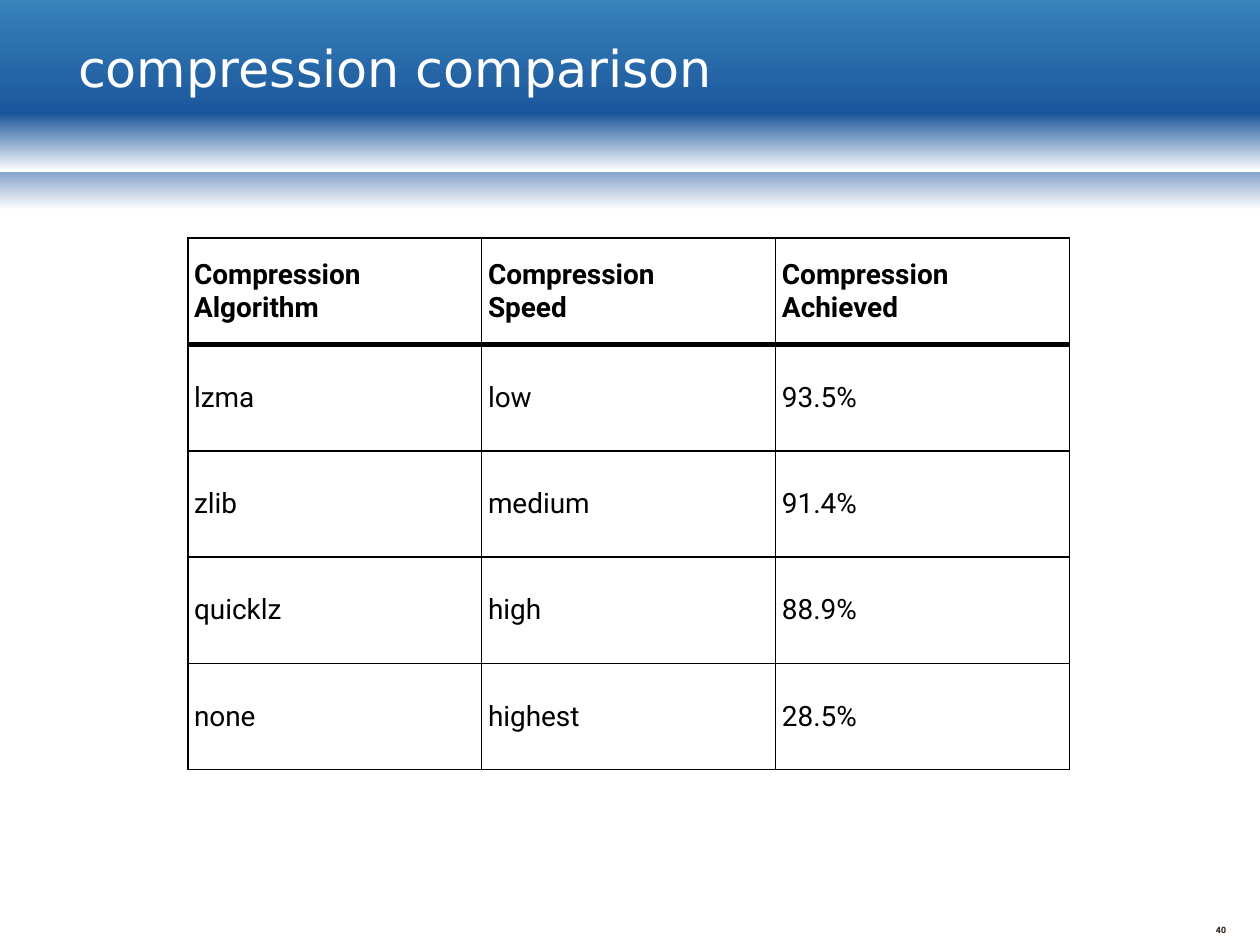
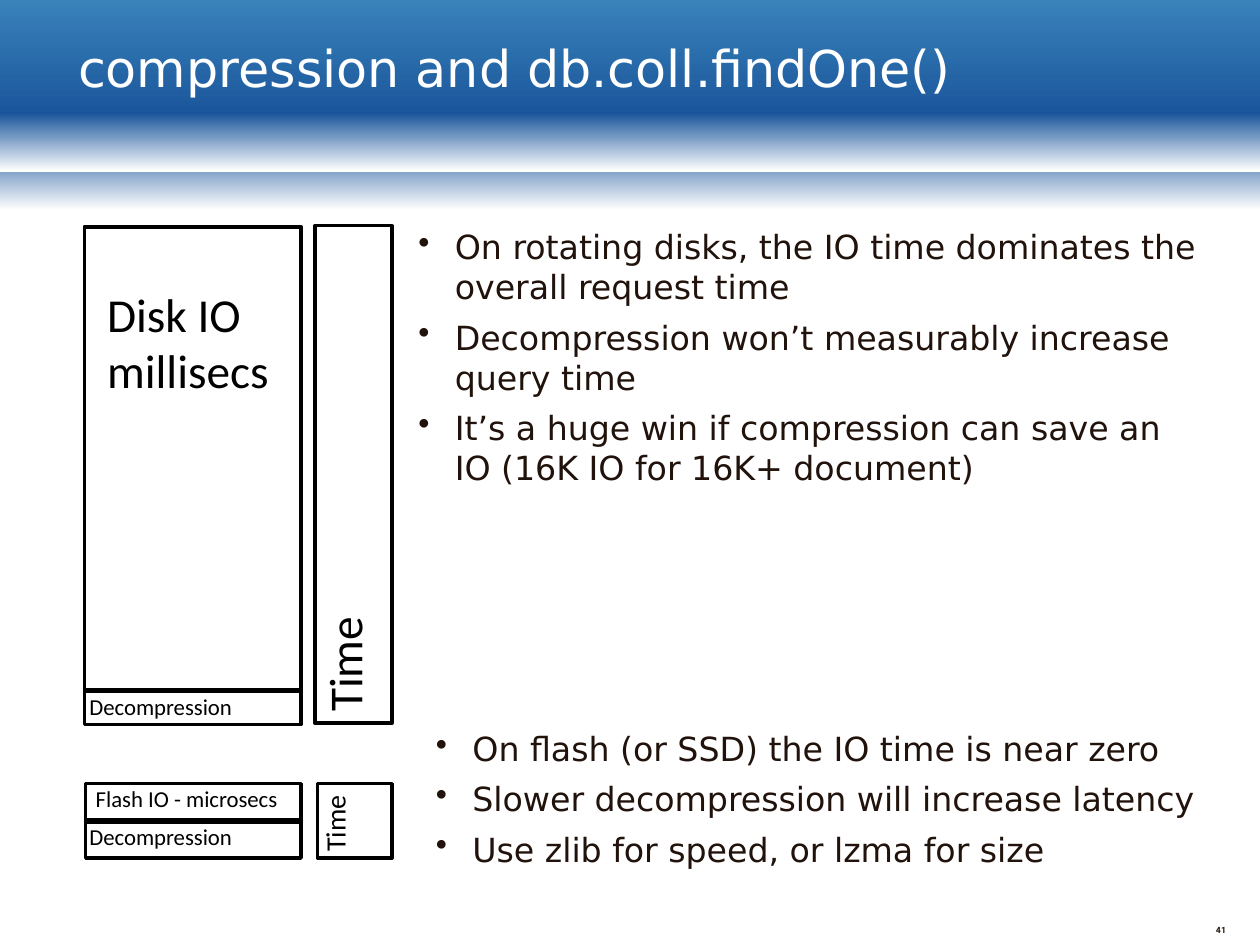
from dataclasses import dataclass

from lxml import etree
from pptx import Presentation
from pptx.dml.color import RGBColor
from pptx.enum.shapes import MSO_CONNECTOR as Connector, MSO_SHAPE as Preset
from pptx.enum.text import MSO_ANCHOR as Anchor, MSO_AUTO_SIZE as AutoSize, PP_ALIGN as Align
from pptx.oxml import parse_xml
from pptx.oxml.ns import nsdecls, qn
from pptx.util import Inches, Pt


@dataclass(frozen=True)
class Theme:
    sky: str = "3982BA"
    navy: str = "1A559B"
    white: str = "FFFFFF"
    black: str = "000000"
    ink: str = "21130C"
    heading_font: str = "DejaVu Sans"
    table_font: str = "Roboto"
    diagram_font: str = "Calibri"
    title_size: float = 29
    bullet_size: float = 19
    table_size: float = 16
    number_size: float = 5
    large_label: float = 27
    medium_label: float = 16
    small_label: float = 13
    outline: float = 2
    divider: float = 3
    inset: float = 0.05


THEME = Theme()


def color(code):
    return RGBColor.from_string(code)


def write(para, text, *, font, size, ink=THEME.black, bold=False, align=None):
    """Fill a paragraph; a newline in the text becomes a line break."""
    if align is not None:
        para.alignment = align
    for index, line in enumerate(text.split("\n")):
        if index:
            para.add_line_break()
        span = para.add_run()
        span.text = line
        span.font.name = font
        span.font.size = Pt(size)
        span.font.bold = bold
        span.font.color.rgb = color(ink)


def set_margins(target, left, top, right, bottom):
    target.margin_left, target.margin_top = Inches(left), Inches(top)
    target.margin_right, target.margin_bottom = Inches(right), Inches(bottom)


def add_bullet(para, indent=0.29):
    properties = para._p.get_or_add_pPr()
    properties.set("marL", str(Inches(indent)))
    properties.set("indent", str(-Inches(indent)))
    etree.SubElement(properties, qn("a:buChar"), char="•")


def set_borders(cell, top, bottom):
    """Rule the sides at 1 pt, and the top and bottom at the given widths."""
    widths = {"lnL": 1, "lnR": 1, "lnT": top, "lnB": bottom}
    for index, (side, width) in enumerate(widths.items()):
        border = parse_xml(
            f'<a:{side} {nsdecls("a")} w="{Pt(width)}"><a:solidFill>'
            f'<a:srgbClr val="{THEME.black}"/></a:solidFill></a:{side}>')
        cell._tc.get_or_add_tcPr().insert(index, border)


class SlideBuilder:
    def __init__(self, deck, theme):
        self.deck = deck
        self.theme = theme
        self.page = None

    def start(self, title, number):
        """Add a page with the shared bands, title and page number."""
        theme = self.theme
        self.page = self.deck.slides.add_slide(self.deck.slide_layouts[6])
        # Long bands lie below, shorter ones on top
        for solid_height, fade_top, fade_height in ((1.13, 1.1, 0.57), (0.93, 0.9, 0.46)):
            self.band(0, solid_height, theme.sky, theme.navy)
            self.band(fade_top, fade_height, theme.navy, theme.white)
        self.text(str(number), 7.5, 7.18, 2.33, 0.4, anchor=Anchor.MIDDLE,
                  inset=0.1, font=theme.table_font, size=theme.number_size,
                  ink=theme.ink, bold=True, align=Align.RIGHT)
        self.text(title, 0.57, 0, 9.06, 1.06, anchor=Anchor.MIDDLE,
                  inset=theme.inset, font=theme.heading_font,
                  size=theme.title_size, ink=theme.white)

    def band(self, top, height, upper, lower):
        band = self.page.shapes.add_shape(
            Preset.RECTANGLE, 0, Inches(top), self.deck.slide_width, Inches(height))
        band.shadow.inherit = False
        band.line.fill.background()
        band.fill.gradient()
        band.fill.gradient_angle = 270
        for stop, code in zip(band.fill.gradient_stops, (upper, lower)):
            stop.color.rgb = color(code)

    def text(self, text, left, top, width, height, *, anchor=Anchor.TOP,
             inset=0, wrap=True, **style):
        box = self.page.shapes.add_textbox(
            Inches(left), Inches(top), Inches(width), Inches(height))
        frame = box.text_frame
        frame.word_wrap = wrap
        frame.auto_size = AutoSize.NONE if wrap else AutoSize.SHAPE_TO_FIT_TEXT
        frame.vertical_anchor = anchor
        set_margins(frame, inset, inset, inset, inset)
        write(frame.paragraphs[0], text, **style)

    def label(self, text, left, top, width, height, size, wrap=True):
        self.text(text, left, top, width, height, wrap=wrap,
                  font=self.theme.diagram_font, size=size)

    def bullets(self, items, left, top, width, height):
        theme = self.theme
        box = self.page.shapes.add_textbox(
            Inches(left), Inches(top), Inches(width), Inches(height))
        frame = box.text_frame
        frame.word_wrap = True
        set_margins(frame, *[theme.inset] * 4)
        for index, item in enumerate(items):
            para = frame.add_paragraph() if index else frame.paragraphs[0]
            para.space_before = Pt(6)
            add_bullet(para)
            write(para, item, font=theme.heading_font,
                  size=theme.bullet_size, ink=theme.ink)

    def frame(self, left, top, width, height):
        box = self.page.shapes.add_shape(
            Preset.RECTANGLE, Inches(left), Inches(top), Inches(width), Inches(height))
        box.shadow.inherit = False
        box.fill.background()
        box.line.color.rgb = color(self.theme.black)
        box.line.width = Pt(self.theme.outline)
        return box

    def time_bar(self, left, top, width, height, size, gap):
        """Draw an upright bar whose label reads upwards from its foot."""
        shift = (width - height) / 2
        bar = self.frame(left + shift, top - shift, height, width)
        bar.rotation = 270
        frame = bar.text_frame
        frame.word_wrap = True
        frame.vertical_anchor = Anchor.TOP
        set_margins(frame, gap, 0, 0, 0)
        write(frame.paragraphs[0], "Time", font=self.theme.diagram_font,
              size=size, align=Align.LEFT)

    def divider(self, left, right, y):
        line = self.page.shapes.add_connector(
            Connector.STRAIGHT, Inches(left), Inches(y), Inches(right), Inches(y))
        line.line.color.rgb = color(self.theme.black)
        line.line.width = Pt(self.theme.divider)
        etree.SubElement(line._element.spPr, qn("a:effectLst"))
        return line

    def table(self, rows, left, top, width, height):
        theme = self.theme
        table = self.page.shapes.add_table(
            len(rows), len(rows[0]), Inches(left), Inches(top),
            Inches(width), Inches(height)).table
        table.first_row = table.horz_banding = False
        for row_index, row in enumerate(rows):
            for column_index, text in enumerate(row):
                cell = table.cell(row_index, column_index)
                cell.fill.solid()
                cell.fill.fore_color.rgb = color(theme.white)
                cell.vertical_anchor = Anchor.MIDDLE
                set_margins(cell, *[theme.inset] * 4)
                set_borders(cell, top=3 if row_index == 1 else 1,
                            bottom=3 if row_index == 0 else 1)
                write(cell.text_frame.paragraphs[0], text, font=theme.table_font,
                      size=theme.table_size, bold=row_index == 0)


def build_comparison(builder):
    builder.start("compression comparison", 40)
    builder.table([
        ("Compression\nAlgorithm", "Compression\nSpeed", "Compression\nAchieved"),
        ("lzma", "low", "93.5%"),
        ("zlib", "medium", "91.4%"),
        ("quicklz", "high", "88.9%"),
        ("none", "highest", "28.5%"),
    ], 1.49, 1.89, 7, 4.22)


def build_find_one(builder):
    theme = builder.theme
    builder.start("compression and db.coll.findOne()", 41)

    # Rotating disk: IO dwarfs decompression
    builder.frame(0.67, 1.8, 1.72, 3.95)
    builder.divider(0.66, 2.4, 5.48)
    builder.label("Disk IO\nmillisecs", 0.85, 2.26, 1.29, 0.91,
                  theme.large_label, wrap=False)

    # Flash: IO and decompression take equal shares
    flash = builder.frame(0.68, 6.22, 1.71, 0.59)
    split = builder.divider(0.68, 2.39, 6.5)
    split.begin_connect(flash, 1)
    split.end_connect(flash, 3)
    builder.label("Flash IO - microsecs", 0.76, 6.23, 1.46, 0.22,
                  theme.small_label, wrap=False)

    for top in (5.5, 6.53):
        builder.label("Decompression", 0.71, top, 1.65, 0.28, theme.small_label)

    # Time bars beside each stack
    builder.time_bar(2.5, 1.79, 0.61, 3.95, theme.large_label, gap=0.09)
    builder.time_bar(2.52, 6.22, 0.59, 0.59, theme.medium_label, gap=0.05)

    # Findings
    builder.bullets([
        "On rotating disks, the IO time dominates the overall request time",
        "Decompression won’t measurably increase query time",
        "It’s a huge win if compression can save an IO (16K IO for 16K+ document)",
    ], 3.27, 1.75, 6.36, 2.46)
    builder.bullets([
        "On flash (or SSD) the IO time is near zero",
        "Slower decompression will increase latency",
        "Use zlib for speed, or lzma for size",
    ], 3.41, 5.73, 6.2, 1.55)


def main():
    deck = Presentation()
    deck.slide_width, deck.slide_height = Inches(10), Inches(7.5)
    builder = SlideBuilder(deck, THEME)
    build_comparison(builder)
    build_find_one(builder)
    deck.save("out.pptx")


if __name__ == "__main__":
    main()
